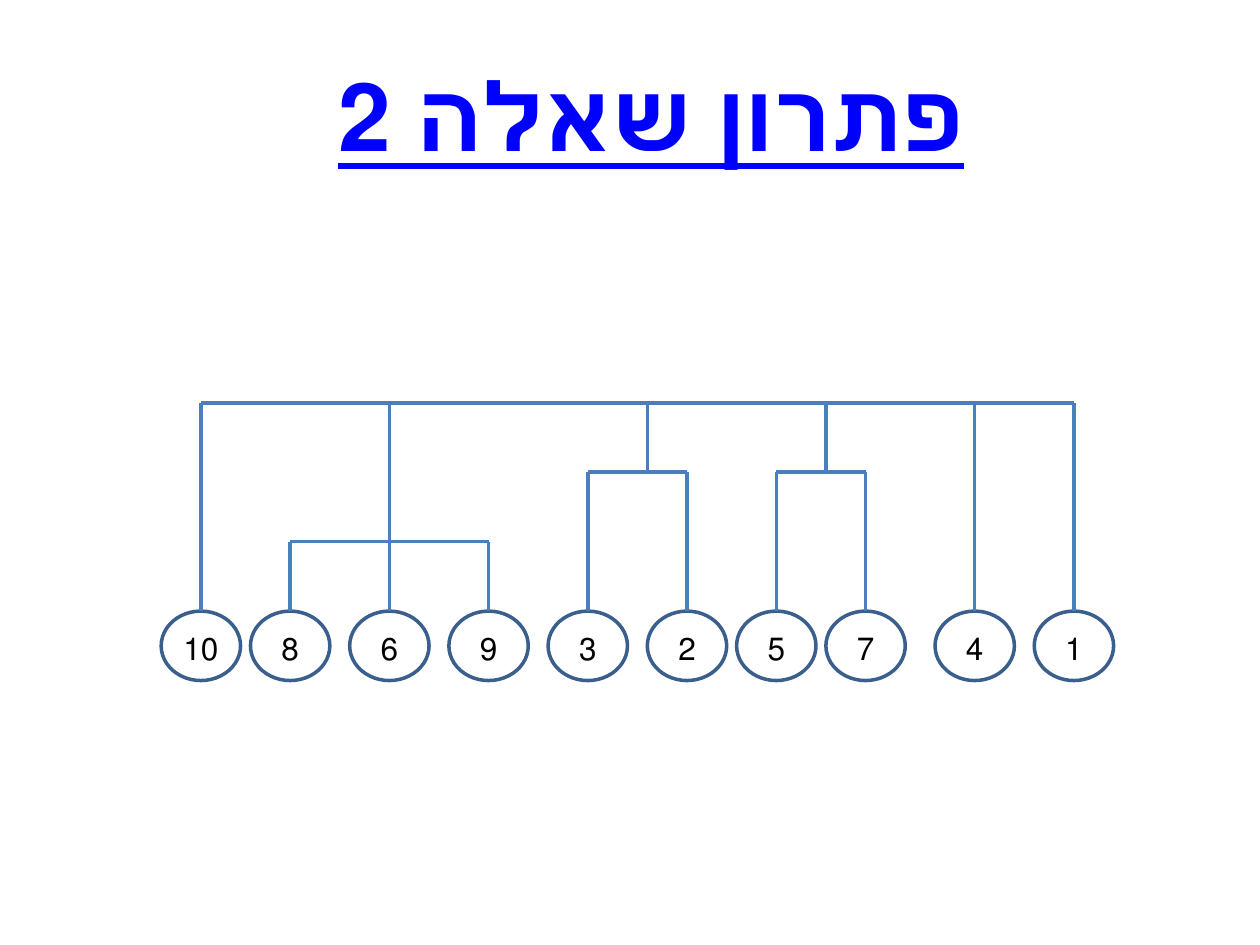
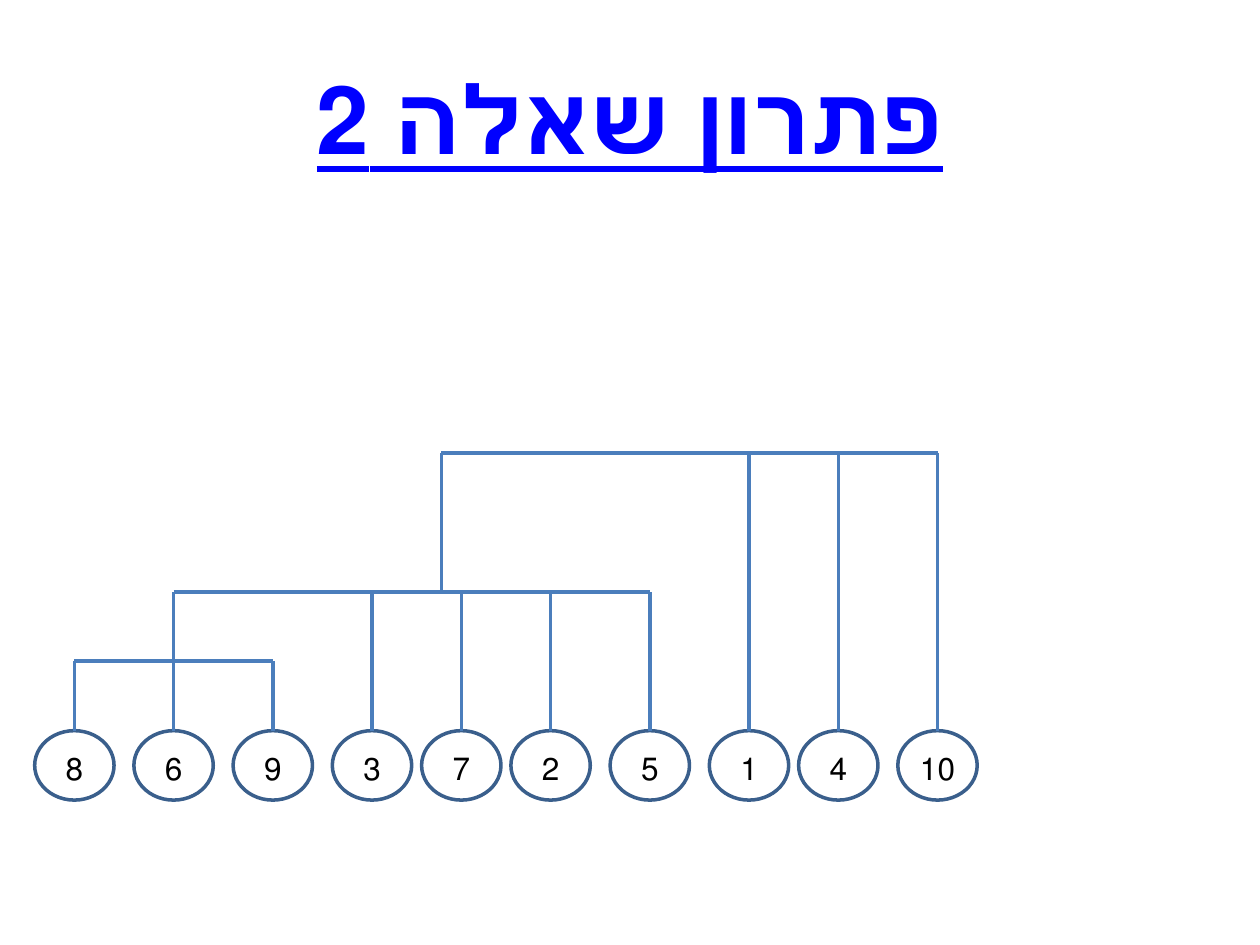
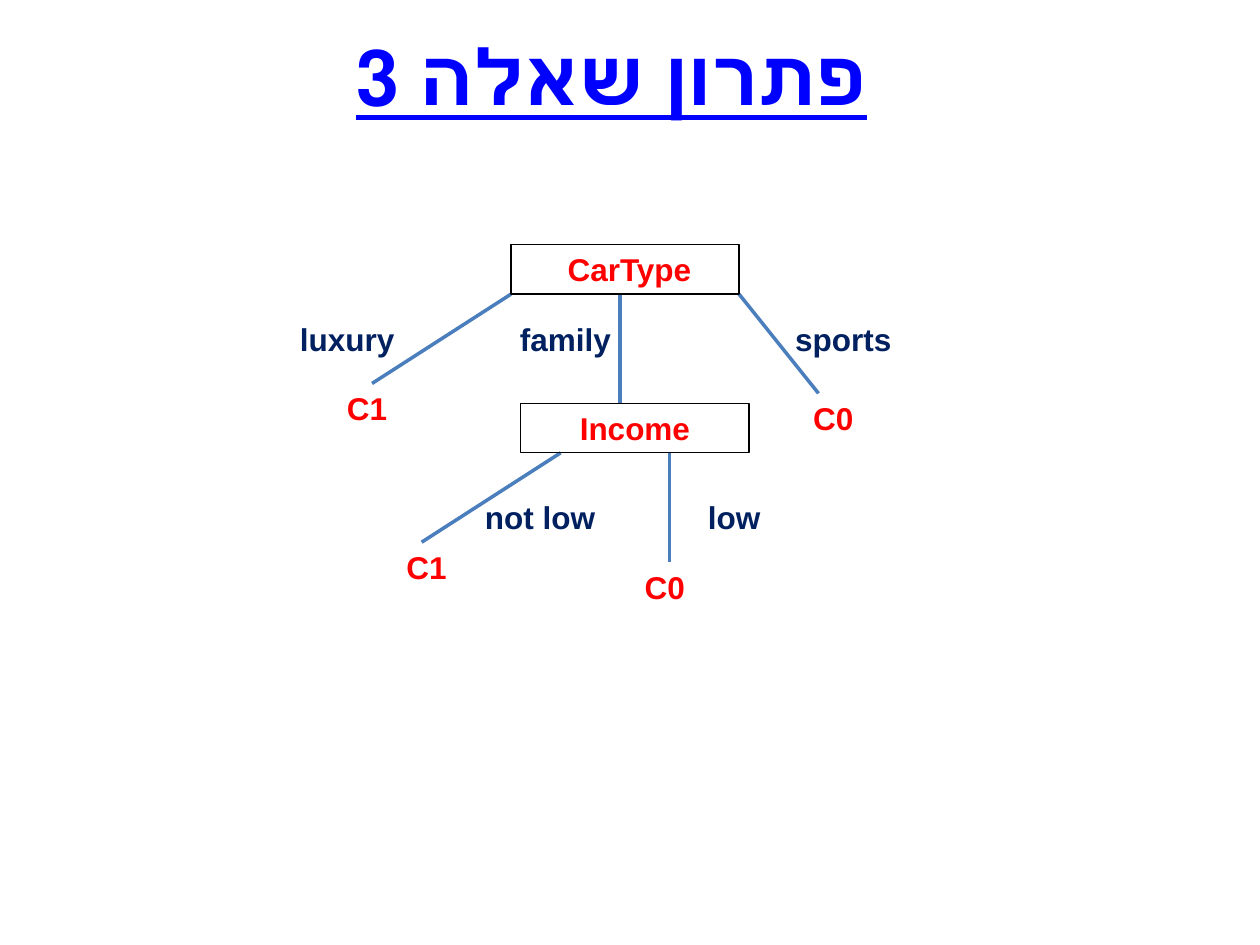
import dataclasses

import pptx
import pptx.dml.color
import pptx.enum.shapes
import pptx.enum.text
import pptx.oxml.ns
import pptx.util

Cm = pptx.util.Cm
Pt = pptx.util.Pt
Shape = pptx.enum.shapes.MSO_SHAPE
Align = pptx.enum.text.PP_ALIGN
Anchor = pptx.enum.text.MSO_ANCHOR


@dataclasses.dataclass(frozen=True)
class Theme:
    blue: str = "0000FF"
    navy: str = "002060"
    red: str = "FF0000"
    black: str = "000000"
    ring: str = "3A5F8C"
    line: str = "4B7EBC"
    head: str = "Calibri"
    body: str = "Arial"
    big: int = 54
    mid: int = 44
    small: int = 18
    thick: float = 2
    thin: float = 0.75


@dataclasses.dataclass(frozen=True)
class Join:
    """A bar at a height above the leaves; shift moves its stem off centre."""
    height: float
    kids: tuple
    shift: float = 0


THEME = Theme()
LEAF_W, LEAF_H = 1.6, 1.4
NODE_W, NODE_H = 4.6, 1


def rgb(code):
    return pptx.dml.color.RGBColor.from_string(code)


# Shared drawing helpers
def write(shape, text, size=THEME.small, font=THEME.body, color=THEME.black,
          bold=False, under=False, rtl=True):
    frame = shape.text_frame
    frame.vertical_anchor = Anchor.MIDDLE
    para = frame.paragraphs[0]
    para.alignment = Align.CENTER
    para._p.get_or_add_pPr().set("rtl", "1" if rtl else "0")
    run = para.add_run()
    run.text = text
    face = run.font
    face.name, face.size = font, Pt(size)
    face.bold, face.underline = bold, under
    face.color.rgb = rgb(color)


def outline(slide, kind, box, color, width):
    shape = slide.shapes.add_shape(kind, *map(Cm, box))
    shape.shadow.inherit = False
    shape.fill.background()
    shape.line.color.rgb = rgb(color)
    shape.line.width = Pt(width)
    return shape


def link(slide, start, end):
    kind = pptx.enum.shapes.MSO_CONNECTOR.STRAIGHT
    line = slide.shapes.add_connector(kind, *map(Cm, (*start, *end)))
    line.line.color.rgb = rgb(THEME.line)
    line.line.width = Pt(THEME.thick)
    props = line._element.spPr
    props.append(props.makeelement(pptx.oxml.ns.qn("a:effectLst"), {}))


def begin(deck, text, left, top, **style):
    slide = deck.slides.add_slide(deck.slide_layouts[5])
    title = slide.shapes.title
    title.left, title.top = Cm(left), Cm(top)
    title.width, title.height = Cm(22.86), Cm(3.18)
    write(title, text, font=THEME.head, color=THEME.blue,
          bold=True, under=True, **style)
    return slide


# Cluster tree: x is the centre of the first leaf, y the top of the leaves
def cluster(slide, x, y, steps, root):
    gaps = iter((0, *steps))

    def leaf(text):
        nonlocal x
        x += next(gaps)
        ring = outline(slide, Shape.OVAL, (x - LEAF_W / 2, y, LEAF_W, LEAF_H),
                       THEME.ring, THEME.thick)
        frame = ring.text_frame
        frame.word_wrap = False
        frame.margin_left = frame.margin_right = frame.margin_bottom = 0
        frame.margin_top = Cm(0.1)
        write(ring, text)
        return x, y

    def grow(node):
        if isinstance(node, str):
            return leaf(node)
        bar = y - node.height
        ends = [grow(kid) for kid in node.kids]
        for end in ends:
            link(slide, end, (end[0], bar))
        first, last = ends[0][0], ends[-1][0]
        link(slide, (first, bar), (last, bar))
        return (first + last) / 2 + node.shift, bar

    grow(root)


# Decision tree: all places are relative to its top left corner
def decide(slide, x, y):
    def at(left, top):
        return x + left, y + top

    branches = [((5.6, 1), (2.8, 2.8)), ((7.8, 1), (7.8, 3.2)),
                ((10.2, 1), (11.8, 3)), ((6.6, 4.2), (3.8, 6)),
                ((8.8, 4.2), (8.8, 6.4))]
    for top, foot in branches:
        link(slide, at(*top), at(*foot))

    tests = [("CarType ", 5.6, 0), ("Income", 5.8, 3.2)]
    for text, left, top in tests:
        node = outline(slide, Shape.RECTANGLE,
                       (*at(left, top), NODE_W, NODE_H),
                       THEME.black, THEME.thin)
        write(node, text, color=THEME.red, bold=True)

    answers = [("luxury", 0, 1.4), ("family", 4.4, 1.4), ("sports", 10, 1.4),
               (" not low", 3.8, 5), ("low", 7.8, 5)]
    classes = [("C1", 0.4, 2.8), ("C0", 9.8, 3), ("C1", 1.6, 6),
               ("C0", 6.4, 6.4)]
    for color, group in ((THEME.navy, answers), (THEME.red, classes)):
        for text, left, top in group:
            label = slide.shapes.add_textbox(
                *map(Cm, (*at(left, top), NODE_W, NODE_H)))
            label.text_frame.word_wrap = True
            write(label, text, color=color, bold=True,
                  rtl=not text.startswith(" "))


def main():
    deck = pptx.Presentation()
    deck.slide_width, deck.slide_height = Cm(25.4), Cm(19.05)

    # Clusters side by side under one bar
    slide = begin(deck, "פתרון שאלה 2", 1.7, 0.7, size=THEME.big)
    root = Join(4.2, ("10", Join(1.4, ("8", "6", "9")),
                      Join(2.8, ("3", "2"), 0.2),
                      Join(2.8, ("5", "7"), 0.1), "4", "1"))
    cluster(slide, 4.05, 12.32, (1.8, 2, 2, 2, 2, 1.8, 1.8, 2.2, 2), root)

    # Clusters nested inside one another
    slide = begin(deck, "פתרון שאלה 2", 1.27, 0.76, size=THEME.big)
    inner = Join(1.4, ("8", "6", "9"))
    root = Join(5.6, (Join(2.8, (inner, "3", "7", "2", "5"), 0.6),
                      "1", "4", "10"))
    cluster(slide, 1.5, 14.73, (2, 2, 2, 1.8, 1.8, 2, 2, 1.8, 2), root)

    # Decision tree
    slide = begin(deck, "פתרון שאלה 3", 0.9, -0.08, size=THEME.mid, rtl=False)
    decide(slide, 4.7, 4.93)

    deck.save("out.pptx")


if __name__ == "__main__":
    main()
